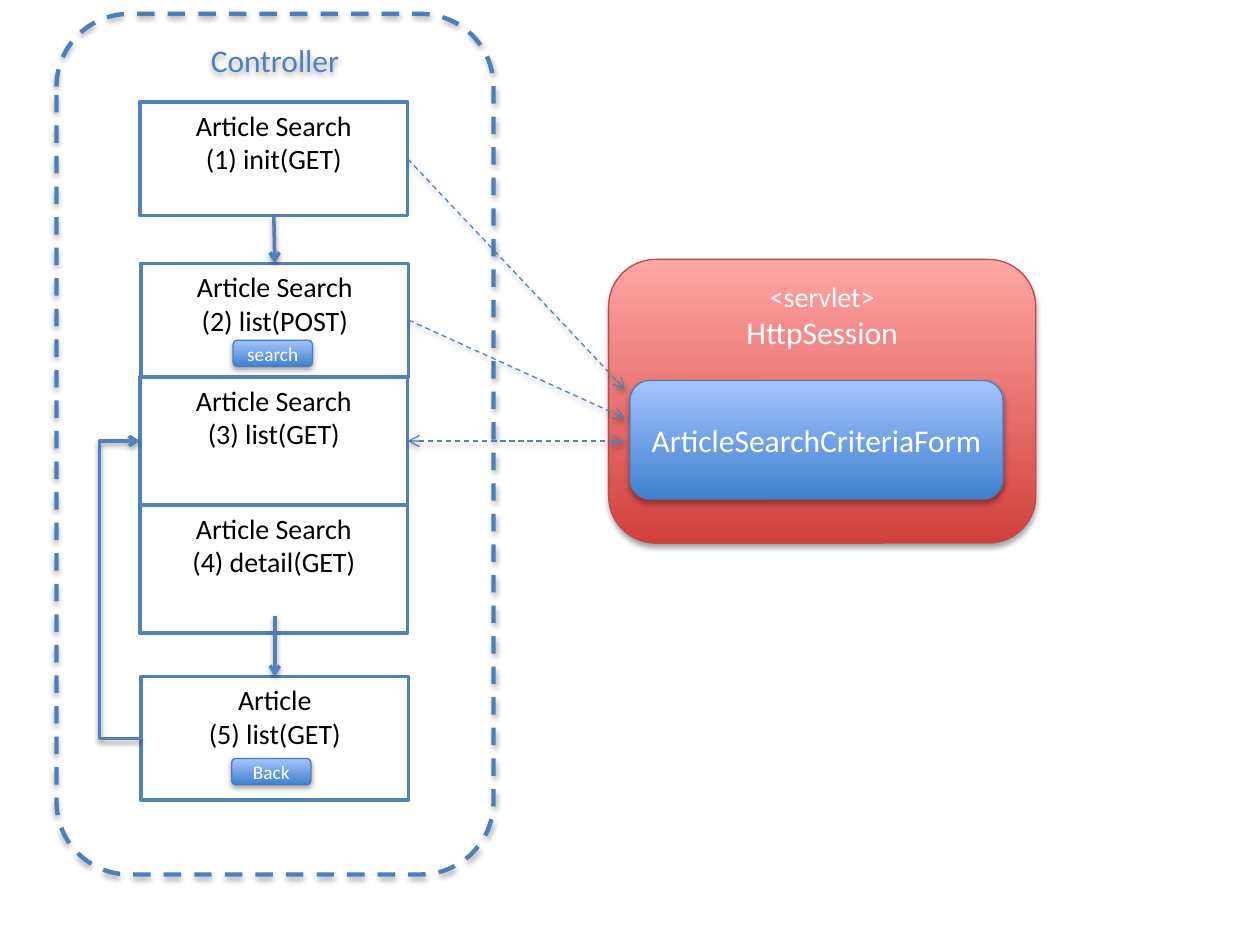
from lxml.etree import SubElement
from pptx import Presentation
from pptx.dml.color import RGBColor
from pptx.enum.dml import MSO_LINE
from pptx.enum.shapes import MSO_CONNECTOR, MSO_SHAPE
from pptx.enum.text import MSO_ANCHOR, PP_ALIGN
from pptx.oxml.ns import qn
from pptx.util import Cm, Pt

BLUE, EDGE_BLUE, EDGE_RED = "4F81BD", "4B7EBC", "BF4C48"
BLUE_GRADIENT = ("3F80CE", "A4C4FF")
RED_GRADIENT = ("D1403C", "FFA6A5")
TOP, LEFT, BOTTOM, RIGHT = range(4)


def set_color(color_format, value):
    color_format.rgb = RGBColor.from_string(value)


def apply_format(target, values):
    for name, value in values.items():
        setattr(target, name, value)


def style_line(line, color, width, dashed=False):
    line.fill.solid()
    set_color(line.fill.fore_color, color)
    line.width = Pt(width)
    if dashed:
        line.dash_style = MSO_LINE.DASH


def write_text(shape, text, sizes, color, anchor=MSO_ANCHOR.TOP, wrap=True):
    frame = shape.text_frame
    frame.text = text
    apply_format(frame, {"word_wrap": wrap, "vertical_anchor": anchor})
    for paragraph, size in zip(frame.paragraphs, sizes):
        paragraph.alignment = PP_ALIGN.CENTER
        apply_format(paragraph.font, {"name": "Calibri", "size": Pt(size)})
        set_color(paragraph.font.color, color)


def add_box(slide, kind, bounds):
    return slide.shapes.add_shape(kind, *map(Cm, bounds))


def add_controller(slide, bounds):
    controller = add_box(slide, MSO_SHAPE.ROUNDED_RECTANGLE, bounds)
    controller.fill.background()
    style_line(controller.line, EDGE_BLUE, 2.5, dashed=True)
    write_text(controller, "Controller", [18], BLUE)


def add_step(slide, text, bounds):
    step = add_box(slide, MSO_SHAPE.RECTANGLE, bounds)
    step.shadow.inherit = False
    step.fill.solid()
    set_color(step.fill.fore_color, "FFFFFF")
    style_line(step.line, BLUE, 2)
    write_text(step, text, [16, 16], "000000")
    return step


def add_panel(slide, text, bounds, sizes, gradient=BLUE_GRADIENT, edge=EDGE_BLUE,
              anchor=MSO_ANCHOR.MIDDLE):
    panel = add_box(slide, MSO_SHAPE.ROUNDED_RECTANGLE, bounds)
    panel.fill.gradient()
    panel.fill.gradient_angle = 90
    for stop, color in zip(panel.fill.gradient_stops, gradient):
        set_color(stop.color, color)
    style_line(panel.line, edge, 0.75)
    write_text(panel, text, sizes, "FFFFFF", anchor, wrap=False)


def add_arrow(slide, start, end, width=2, dashed=False, both_ends=False,
              kind=MSO_CONNECTOR.STRAIGHT):
    """Each end is either an (x, y) point in cm or a (step, side) pair."""
    points = [(0, 0) if hasattr(place, "shape_id") else (place, site)
              for place, site in (start, end)]
    (x1, y1), (x2, y2) = points
    arrow = slide.shapes.add_connector(kind, Cm(x1), Cm(y1), Cm(x2), Cm(y2))
    for (place, site), connect in ((start, arrow.begin_connect), (end, arrow.end_connect)):
        if hasattr(place, "shape_id"):
            connect(place, site)
    style_line(arrow.line, BLUE, width, dashed)
    outline = arrow._element.spPr.find(qn("a:ln"))
    for tag in ["a:headEnd", "a:tailEnd"] if both_ends else ["a:tailEnd"]:
        SubElement(outline, qn(tag), type="arrow")
    return arrow


def add_return_arrow(slide, source, target, turn_x):
    arrow = add_arrow(slide, (source, LEFT), (target, LEFT), kind=MSO_CONNECTOR.ELBOW)
    ratio = (source.left - Cm(turn_x)) / (source.left - target.left)
    geometry = arrow._element.spPr.find(qn("a:prstGeom"))
    guides = geometry.find(qn("a:avLst"))
    if guides is None:
        guides = SubElement(geometry, qn("a:avLst"))
    SubElement(guides, qn("a:gd"), name="adj1", fmla=f"val {round(ratio * 100000)}")


def main():
    presentation = Presentation()
    apply_format(presentation, {"slide_width": Cm(25.4), "slide_height": Cm(19.05)})
    slide = presentation.slides.add_slide(presentation.slide_layouts[6])

    add_controller(slide, (1.14, 0.28, 8.81, 17.35))
    add_panel(slide, "<servlet>\nHttpSession", (12.27, 5.23, 8.61, 5.72), [16, 18],
              RED_GRADIENT, EDGE_RED, MSO_ANCHOR.TOP)
    add_panel(slide, "ArticleSearchCriteriaForm", (12.7, 7.67, 7.52, 2.39), [18])

    init, search_post, search_list, detail, article = [
        add_step(slide, text, bounds) for text, bounds in (
            ("Article Search\n(1) init(GET)", (2.82, 2.06, 5.4, 2.29)),
            ("Article Search\n(2) list(POST)", (2.84, 5.31, 5.4, 2.29)),
            ("Article Search\n(3) list(GET)", (2.82, 7.6, 5.4, 2.58)),
            ("Article Search\n(4) detail(GET)", (2.82, 10.18, 5.4, 2.58)),
            ("Article\n(5) list(GET)", (2.84, 13.64, 5.4, 2.49)),
        )]
    add_panel(slide, "search", (4.7, 6.86, 1.6, 0.53), [11])
    add_panel(slide, "Back", (4.67, 15.29, 1.6, 0.53), [11])

    add_arrow(slide, (init, BOTTOM), (search_post, TOP))
    add_arrow(slide, (5.54, 12.42), (article, TOP))
    add_return_arrow(slide, article, search_list, 2.01)
    for step, form_edge in ((init, (12.6, 7.85)), (search_post, (12.6, 8.43)),
                            (search_list, (12.58, 8.89))):
        add_arrow(slide, (step, RIGHT), form_edge, 0.75, dashed=True,
                  both_ends=step is search_list)

    presentation.save("out.pptx")


if __name__ == "__main__":
    main()
